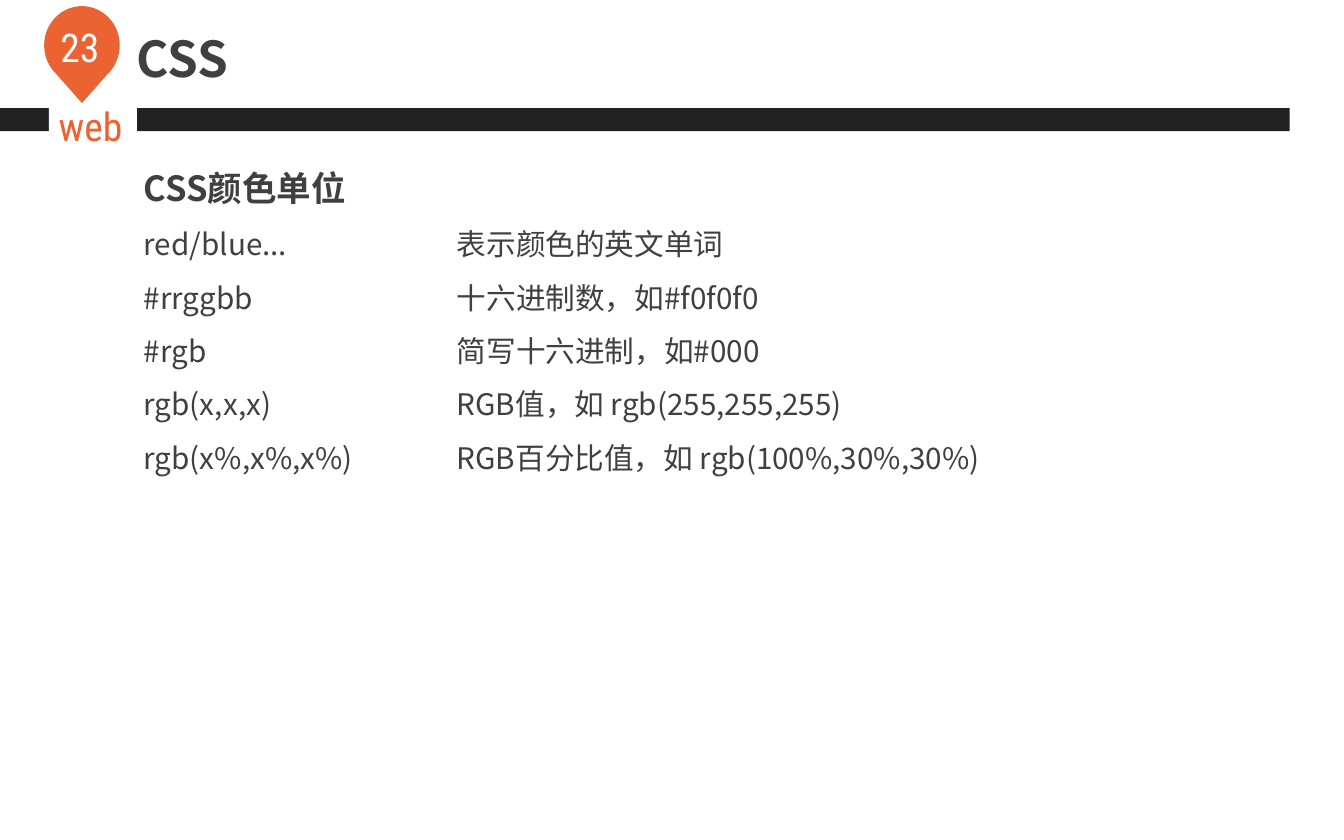
"""Build the CSS colour units slide."""
from math import cos, radians, sin

from lxml.etree import SubElement
from pptx import Presentation
from pptx.dml.color import RGBColor as Color
from pptx.enum.shapes import MSO_SHAPE as Preset
from pptx.enum.text import MSO_ANCHOR as Anchor, PP_ALIGN as Align
from pptx.oxml.ns import qn
from pptx.util import Pt

TITLE = "CSS"
NUMBER = "23"
COURSE = "web"
HEADING = "CSS颜色单位"
UNITS = [
    ("red/blue...", "表示颜色的英文单词"),
    ("#rrggbb", "十六进制数，如#f0f0f0"),
    ("#rgb", "简写十六进制，如#000"),
    ("rgb(x,x,x)", "RGB值，如 rgb(255,255,255)"),
    ("rgb(x%,x%,x%)", "RGB百分比值，如 rgb(100%,30%,30%)"),
]

SANS, CONDENSED = "Noto Sans CJK SC", "Roboto Condensed"
THEME = {
    "bar": "212121",
    "accent": "EB6333",
    "paper": "FFFFFF",
    "title": {"name": SANS, "size": 40, "color": "404040", "bold": True},
    "heading": {"name": SANS, "size": 28, "color": "404040", "bold": True},
    "unit": {"name": SANS, "size": 24, "color": "404040", "bold": False},
    "number": {"name": CONDENSED, "size": 32, "color": "FFFFFF", "bold": False},
    "course": {"name": CONDENSED, "size": 32, "color": "EB6333", "bold": False},
}
LINE_FACTOR = 1.8
TITLE_LINE = 51
EXAMPLE_TAB = 253.5
PIN = {"x": 66.4, "y": 36.7, "rx": 30.6, "ry": 31.7, "tip": 83.5}
PIN_ARC = range(134, 407, 4)


def paint(shape, color):
    shape.shadow.inherit = False
    shape.fill.solid()
    shape.fill.fore_color.rgb = Color.from_string(color)
    shape.line.fill.background()
    return shape


def add_bar(page, place, color):
    return paint(page.shapes.add_shape(Preset.RECTANGLE, *map(Pt, place)), color)


def add_pin(page):
    arc = [(PIN["x"] + PIN["rx"] * cos(radians(angle)),
            PIN["y"] + PIN["ry"] * sin(radians(angle))) for angle in PIN_ARC]
    outline = [(Pt(x), Pt(y)) for x, y in [(PIN["x"], PIN["tip"]), *arc]]
    builder = page.shapes.build_freeform(*outline[0])
    builder.add_line_segments(outline[1:], close=True)
    paint(builder.convert_to_shape(), THEME["accent"])


def set_frame(box, wrap, side=7.2, edge=3.6):
    values = {"word_wrap": wrap, "vertical_anchor": Anchor.TOP,
              "margin_left": Pt(side), "margin_right": Pt(side),
              "margin_top": Pt(edge), "margin_bottom": Pt(edge)}
    for name, value in values.items():
        setattr(box.text_frame, name, value)
    return box.text_frame


def add_text_box(page, place, wrap=False):
    return set_frame(page.shapes.add_textbox(*map(Pt, place)), wrap)


def write(para, text, style, align=Align.LEFT, line=None):
    para.alignment = align
    if line:
        para.line_spacing = Pt(line)
    span = para.add_run()
    span.text = text
    form = THEME[style]
    values = {"name": form["name"], "size": Pt(form["size"]), "bold": form["bold"]}
    for name, value in values.items():
        setattr(span.font, name, value)
    span.font.color.rgb = Color.from_string(form["color"])
    SubElement(span.font._element, qn("a:ea"), typeface=form["name"])


def add_tab(para, position):
    stops = SubElement(para._p.get_or_add_pPr(), qn("a:tabLst"))
    SubElement(stops, qn("a:tab"), pos=str(int(Pt(position))), algn="l")


def add_units(page):
    frame = add_text_box(page, (109.4, 115, 867.6, 273.6), wrap=True)
    lines = [(HEADING, "heading")] + [("\t".join(unit), "unit") for unit in UNITS]
    for index, (text, style) in enumerate(lines):
        para = frame.add_paragraph() if index else frame.paragraphs[0]
        write(para, text, style, line=THEME[style]["size"] * LINE_FACTOR)
        if style == "unit":
            add_tab(para, EXAMPLE_TAB)


def main():
    deck = Presentation()
    deck.slide_width, deck.slide_height = Pt(1088.64), Pt(680.4)
    page = deck.slides.add_slide(deck.slide_layouts[6])

    add_bar(page, (0, 87.6, 1044.7, 18.7), THEME["bar"])
    label = add_bar(page, (39.6, 78.5, 71.3, 46.8), THEME["paper"])
    write(set_frame(label, True, 7.9, 4.3).paragraphs[0], COURSE, "course")

    title = add_text_box(page, (103.7, 16.6, 89.3, 58.3))
    write(title.paragraphs[0], TITLE, "title", line=TITLE_LINE)
    add_pin(page)
    number = add_text_box(page, (41, 15.1, 47.5, 46.1))
    write(number.paragraphs[0], NUMBER, "number", Align.CENTER)
    add_units(page)

    deck.save("out.pptx")


if __name__ == "__main__":
    main()
